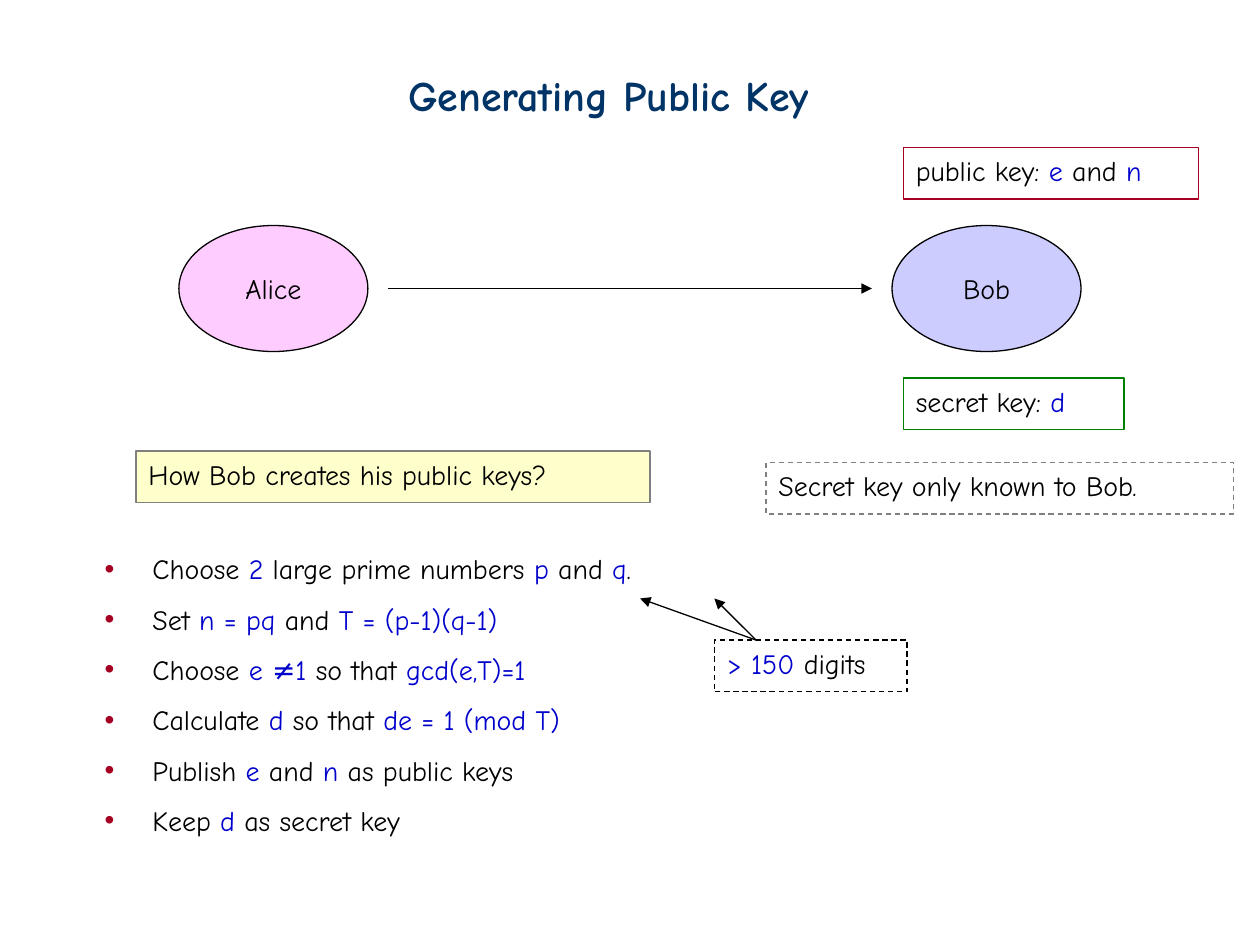
from dataclasses import dataclass
from typing import Optional

from lxml import etree
from pptx import Presentation
from pptx.enum import dml, shapes, text
from pptx.oxml import ns
from pptx.dml.color import RGBColor
from pptx.util import Inches, Pt

COLORS = {
    "black": "000000", "blue": "0000CC", "navy": "003366", "gray": "808080",
    "crimson": "A50021", "green": "008000", "pink": "FFCCFF",
    "lavender": "CCCCFF", "cream": "FFFFCC",
}
FONT = "Comic Neue"
LINE_WIDTH = Pt(0.75)
NOTE_HEIGHT = 0.41
BULLET_INDENT = Inches(0.38)


@dataclass
class Person:
    name: str
    left: float
    fill: str


@dataclass
class Note:
    markup: str
    left: float
    top: float
    width: float
    line: str
    fill: Optional[str] = None
    dashed: bool = False


@dataclass
class Arrow:
    start: tuple[float, float]
    end: tuple[float, float]


PEOPLE = [Person("Alice", 1.42, "pink"), Person("Bob", 7.08, "lavender")]
NOTES = [
    Note("How Bob creates his public keys?", 1.08, 3.58, 4.08, "gray", "cream"),
    Note("|> 150| digits", 5.67, 5.08, 1.53, "black", dashed=True),
    Note("Secret key only known to Bob.", 6.08, 3.67, 3.71, "gray", dashed=True),
    Note("public key: |e| and |n", 7.17, 1.17, 2.34, "crimson"),
    Note("secret key: |d", 7.17, 3, 1.75, "green"),
]
ARROWS = [
    Arrow((3.08, 2.29), (6.92, 2.29)),
    Arrow((6, 5.08), (5.08, 4.75)),
    Arrow((6, 5.08), (5.67, 4.75)),
]
STEPS = [
    "Choose |2| large prime numbers |p| and |q|.",
    "Set |n = pq| and |T = (p-1)(q-1)",
    "Choose |e ≠1| so that |gcd(e,T)=1",
    "Calculate |d| so that |de = 1 (mod T)",
    "Publish |e| and |n| as public keys",
    "Keep |d| as secret key",
]


def rgb(name: str) -> RGBColor:
    return RGBColor.from_string(COLORS[name])


def box(left: float, top: float, width: float, height: float) -> list:
    return [Inches(value) for value in (left, top, width, height)]


def place(placeholder, left: float, top: float, width: float, height: float) -> None:
    edges = ("left", "top", "width", "height")
    for edge, value in zip(edges, box(left, top, width, height)):
        setattr(placeholder, edge, value)


def format_frame(frame, anchor=text.MSO_ANCHOR.TOP) -> None:
    settings = {"word_wrap": True, "auto_size": text.MSO_AUTO_SIZE.NONE,
                "vertical_anchor": anchor}
    for name, value in settings.items():
        setattr(frame, name, value)


def write(paragraph, markup: str, color: str = "black", size: int = 16,
          bold: bool = False, align=text.PP_ALIGN.LEFT) -> None:
    """Add runs; every second part between bars is blue."""
    paragraph.alignment = align
    for index, part in enumerate(markup.split("|")):
        if not part:
            continue
        run = paragraph.add_run()
        run.text = part
        settings = {"name": FONT, "size": Pt(size), "bold": bold}
        for name, value in settings.items():
            setattr(run.font, name, value)
        run.font.color.rgb = rgb("blue" if index % 2 else color)


def add_bullet(paragraph) -> None:
    properties = paragraph._p.get_or_add_pPr()
    properties.set("marL", str(BULLET_INDENT))
    properties.set("indent", str(-BULLET_INDENT))
    color = etree.SubElement(properties, ns.qn("a:buClr"))
    etree.SubElement(color, ns.qn("a:srgbClr"), val=COLORS["crimson"])
    etree.SubElement(properties, ns.qn("a:buChar"), char="•")


def add_outlined(slide, kind, bounds: list, line: str, fill: Optional[str]):
    shape = slide.shapes.add_shape(kind, *bounds)
    shape.shadow.inherit = False
    if fill:
        shape.fill.solid()
        shape.fill.fore_color.rgb = rgb(fill)
    else:
        shape.fill.background()
    shape.line.color.rgb = rgb(line)
    shape.line.width = LINE_WIDTH
    return shape


def add_person(slide, person: Person) -> None:
    oval = add_outlined(slide, shapes.MSO_SHAPE.OVAL,
                        box(person.left, 1.79, 1.5, 1), "black", person.fill)
    format_frame(oval.text_frame, text.MSO_ANCHOR.MIDDLE)
    write(oval.text_frame.paragraphs[0], person.name, align=text.PP_ALIGN.CENTER)


def add_note(slide, note: Note) -> None:
    frame = add_outlined(slide, shapes.MSO_SHAPE.RECTANGLE,
                         box(note.left, note.top, note.width, NOTE_HEIGHT),
                         note.line, note.fill)
    if note.dashed:
        frame.line.dash_style = dml.MSO_LINE.DASH
    format_frame(frame.text_frame)
    write(frame.text_frame.paragraphs[0], note.markup)


def add_arrow(slide, arrow: Arrow) -> None:
    points = [Inches(value) for value in (*arrow.start, *arrow.end)]
    connector = slide.shapes.add_connector(shapes.MSO_CONNECTOR.STRAIGHT, *points)
    connector.line.color.rgb = rgb("black")
    connector.line.width = LINE_WIDTH
    etree.SubElement(connector.line._get_or_add_ln(), ns.qn("a:tailEnd"), type="triangle")
    etree.SubElement(connector._element.spPr, ns.qn("a:effectLst"))


def fill_steps(body) -> None:
    place(body, 0.73, 4.33, 5.02, 2.66)
    format_frame(body.text_frame)
    for index, step in enumerate(STEPS):
        paragraph = body.text_frame.add_paragraph() if index else body.text_frame.paragraphs[0]
        add_bullet(paragraph)
        paragraph.space_before = Pt(0)
        paragraph.line_spacing = 1.5 if index else 1.0
        write(paragraph, step)


def main() -> None:
    deck = Presentation()
    deck.slide_width, deck.slide_height = Inches(10), Inches(7.5)
    slide = deck.slides.add_slide(deck.slide_layouts[1])

    title = slide.shapes.title
    place(title, 3.14, 0.5, 3.69, 0.5)
    format_frame(title.text_frame)
    write(title.text_frame.paragraphs[0], "Generating Public Key", "navy", 24, True)
    fill_steps(slide.placeholders[1])

    for person in PEOPLE:
        add_person(slide, person)
    for note in NOTES:
        add_note(slide, note)
    for arrow in ARROWS:
        add_arrow(slide, arrow)
    deck.save("out.pptx")


if __name__ == "__main__":
    main()
